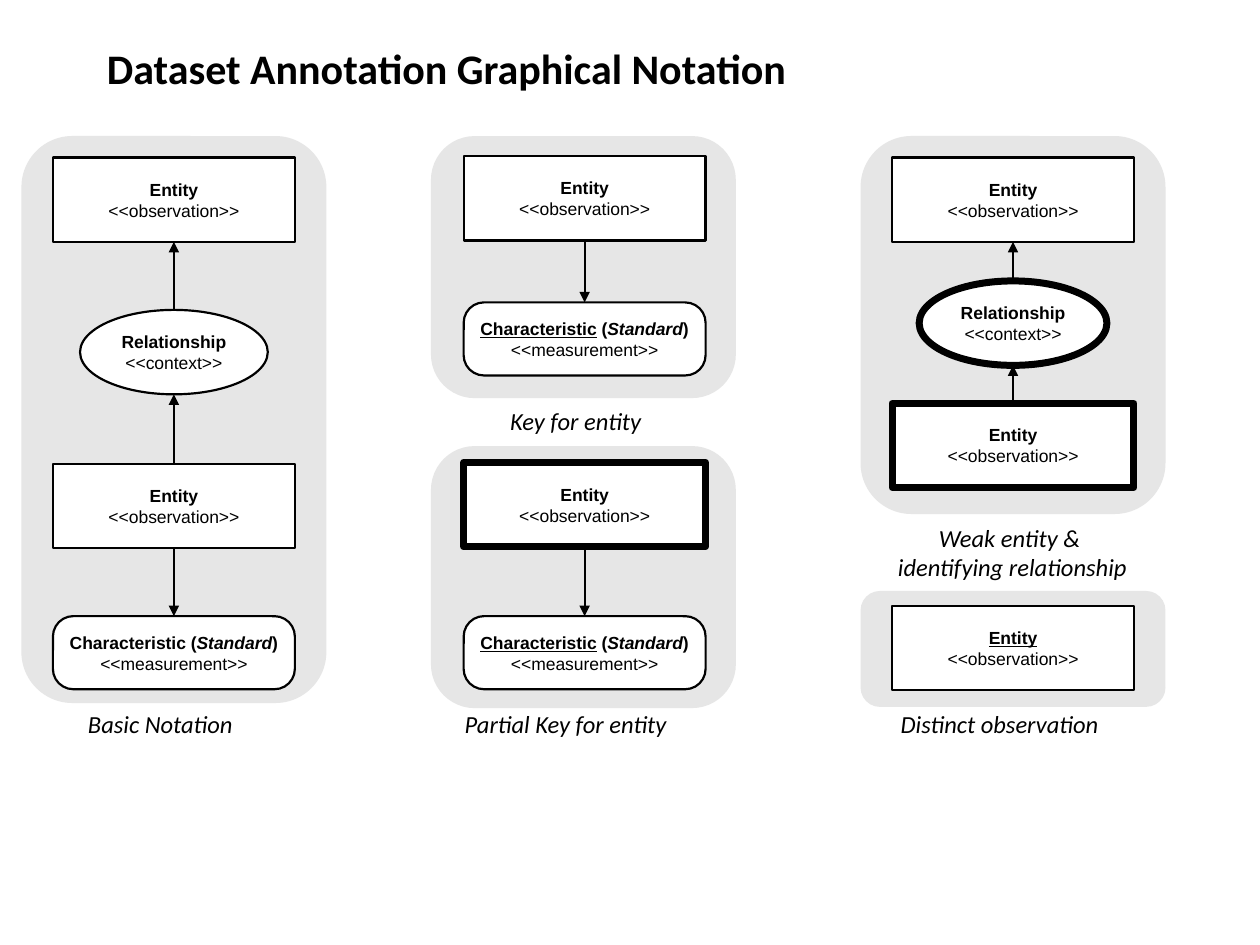
from pptx import Presentation
from pptx.dml.color import RGBColor
from pptx.enum.shapes import MSO_SHAPE as Shape, MSO_CONNECTOR as Conn
from pptx.enum.text import MSO_ANCHOR as Anchor, PP_ALIGN as Align
from pptx.oxml.ns import qn
from pptx.util import Inches, Pt
from lxml.etree import SubElement

BLACK = RGBColor(0, 0, 0)
WHITE = RGBColor(255, 255, 255)
GREY = RGBColor(0xE6, 0xE6, 0xE6)
THIN, THICK = 1.25, 4

# Node kinds: shape, width, height, corner, stereotype
KINDS = {
    "entity": (Shape.RECTANGLE, 1.92, 0.67, None, "<<observation>>"),
    "relation": (Shape.OVAL, 1.49, 0.67, None, "<<context>>"),
    "trait": (Shape.ROUNDED_RECTANGLE, 1.92, 0.58, 0.279, "<<measurement>>"),
}

# Name runs: text and style letters (u underline, i italic)
ENTITY = [("Entity", "")]
KEY = [("Entity", "u")]
RELATION = [("Relationship", "")]
STANDARD = [(" (", ""), ("Standard", "i"), (")", "")]
TRAIT = [("Characteristic", "")] + STANDARD
KEY_TRAIT = [("Characteristic", "u")] + STANDARD

# Groups: panel (left, top, height), node centre, nodes (kind, name, top, line)
PANEL_W = 2.42
GROUPS = [
    ((0.17, 1.08, 4.5), 1.38, [
        ("entity", ENTITY, 1.25, THIN), ("relation", RELATION, 2.46, THIN),
        ("entity", ENTITY, 3.68, THIN), ("trait", TRAIT, 4.89, THIN)]),
    ((3.42, 1.08, 2.08), 4.64, [
        ("entity", ENTITY, 1.24, THIN), ("trait", KEY_TRAIT, 2.4, THIN)]),
    ((3.42, 3.54, 2.08), 4.64, [
        ("entity", ENTITY, 3.67, THICK), ("trait", KEY_TRAIT, 4.89, THIN)]),
    ((6.83, 1.08, 3), 8.04, [
        ("entity", ENTITY, 1.25, THIN), ("relation", RELATION, 2.23, THICK),
        ("entity", ENTITY, 3.2, THICK)]),
    ((6.83, 4.69, 0.92), 8.04, [("entity", KEY, 4.81, THIN)]),
]

TITLE = "Dataset Annotation Graphical Notation"

# Captions: text, left, top, width, height, alignment
CAPTIONS = [
    ("Basic Notation", 0.6, 5.58, 1.54, 0.34, Align.LEFT),
    ("Key for entity", 3.95, 3.17, 1.42, 0.34, Align.LEFT),
    ("Partial Key for entity", 3.59, 5.58, 2.1, 0.34, Align.LEFT),
    ("Weak entity & \videntifying relationship", 6.88, 4.1, 2.31, 0.57,
     Align.CENTER),
    ("Distinct observation", 7.05, 5.58, 2.03, 0.34, Align.LEFT),
]

prs = Presentation()
prs.slide_width, prs.slide_height = Inches(10), Inches(7.5)
slide = prs.slides.add_slide(prs.slide_layouts[6])


def style(font, name, size):
    font.name, font.size = name, Pt(size)
    font.color.rgb = BLACK


def add_shape(kind, box, fill, corner=None):
    shape = slide.shapes.add_shape(kind, *map(Inches, box))
    shape.shadow.inherit = False
    shape.fill.solid()
    shape.fill.fore_color.rgb = fill
    shape.line.fill.background()
    if corner:
        shape.adjustments[0] = corner
    return shape


def add_node(mid, kind, name, top, width):
    form, w, h, corner, stereo = KINDS[kind]
    node = add_shape(form, (mid - w / 2, top, w, h), WHITE, corner)
    node.line.color.rgb = BLACK
    node.line.width = Pt(width)
    frame = node.text_frame
    frame.word_wrap = False
    frame.vertical_anchor = Anchor.MIDDLE
    head, foot = frame.paragraphs[0], frame.add_paragraph()
    for para in (head, foot):
        para.alignment = Align.CENTER
        style(para.font, "Arial", 10)
    for text, marks in name:
        run = head.add_run()
        run.text = text
        run.font.bold = True
        run.font.underline = "u" in marks or None
        run.font.italic = "i" in marks or None
    foot.text = stereo
    return node


def add_arrow(upper, lower, down):
    mid = upper.left + upper.width // 2
    ends = [(upper, upper.top + upper.height, 2), (lower, lower.top, 0)]
    start, end = ends if down else ends[::-1]
    arrow = slide.shapes.add_connector(Conn.STRAIGHT, mid, start[1], mid, end[1])
    for join, (node, _, site) in ((arrow.begin_connect, start),
                                  (arrow.end_connect, end)):
        if node.auto_shape_type != Shape.OVAL:
            join(node, site)
    arrow.line.color.rgb = BLACK
    arrow.line.width = Pt(THIN)
    SubElement(arrow.line._get_or_add_ln(), qn("a:tailEnd"), type="triangle")
    SubElement(arrow._element.spPr, qn("a:effectLst"))


def add_text(text, box, size, align=Align.LEFT, wrap=False):
    frame = slide.shapes.add_textbox(*map(Inches, box)).text_frame
    frame.word_wrap = wrap
    para = frame.paragraphs[0]
    para.text = text
    para.alignment = align
    style(para.font, "Calibri", size)
    return frame


# Panels
for (left, top, height), _, _ in GROUPS:
    add_shape(Shape.ROUNDED_RECTANGLE, (left, top, PANEL_W, height), GREY, 0.167)

# Nodes and arrows: only a characteristic is pointed at from above
for _, mid, rows in GROUPS:
    nodes = [add_node(mid, *row) for row in rows]
    for upper, lower, row in zip(nodes, nodes[1:], rows[1:]):
        add_arrow(upper, lower, row[0] == "trait")

# Title and captions
title = add_text(TITLE, (0.75, 0.25, 8.5, 0.58), 24, wrap=True)
title.vertical_anchor = Anchor.MIDDLE
title.paragraphs[0].font.bold = True
for text, *box, align in CAPTIONS:
    add_text(text, box, 14, align).paragraphs[0].font.italic = True

prs.save("out.pptx")
